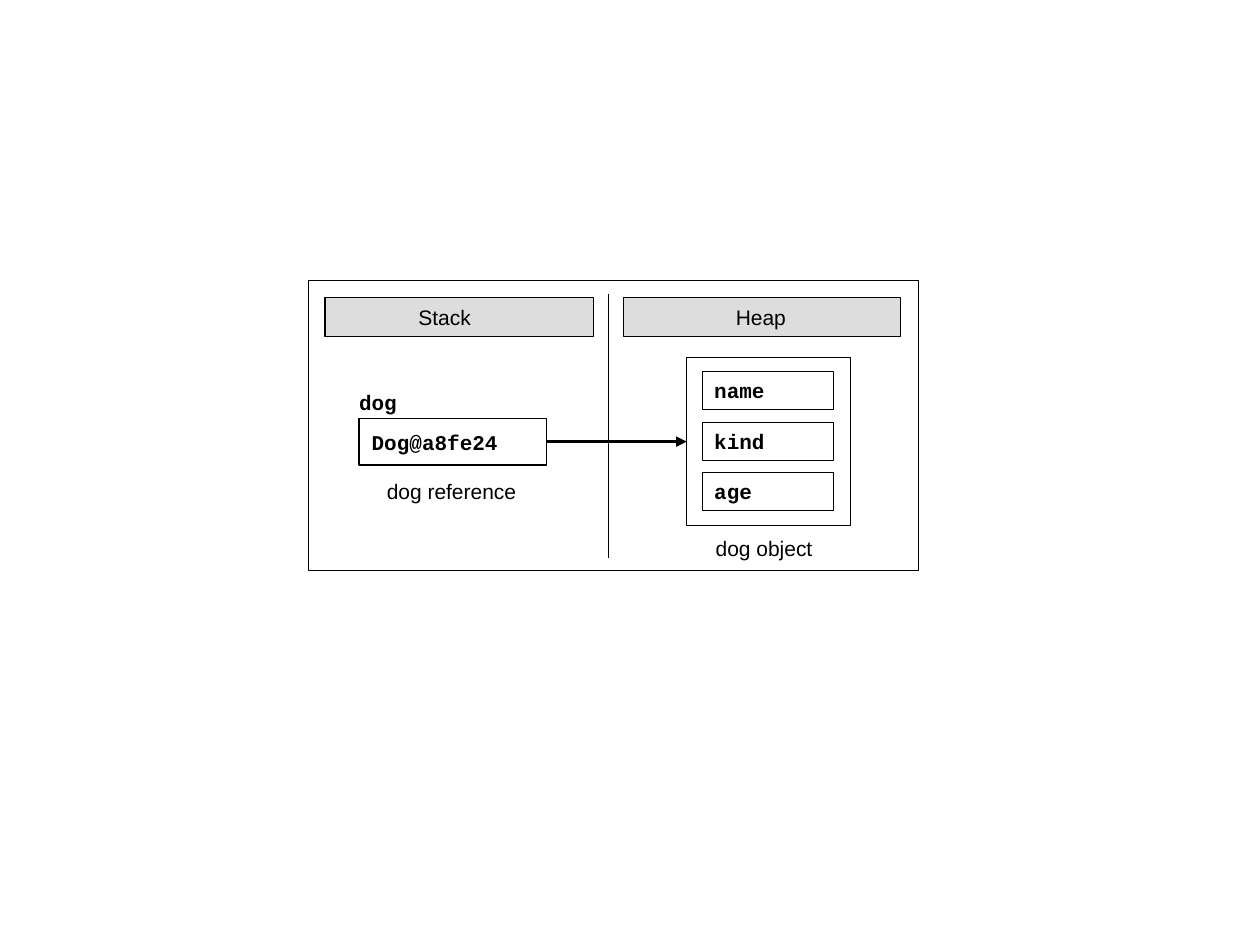
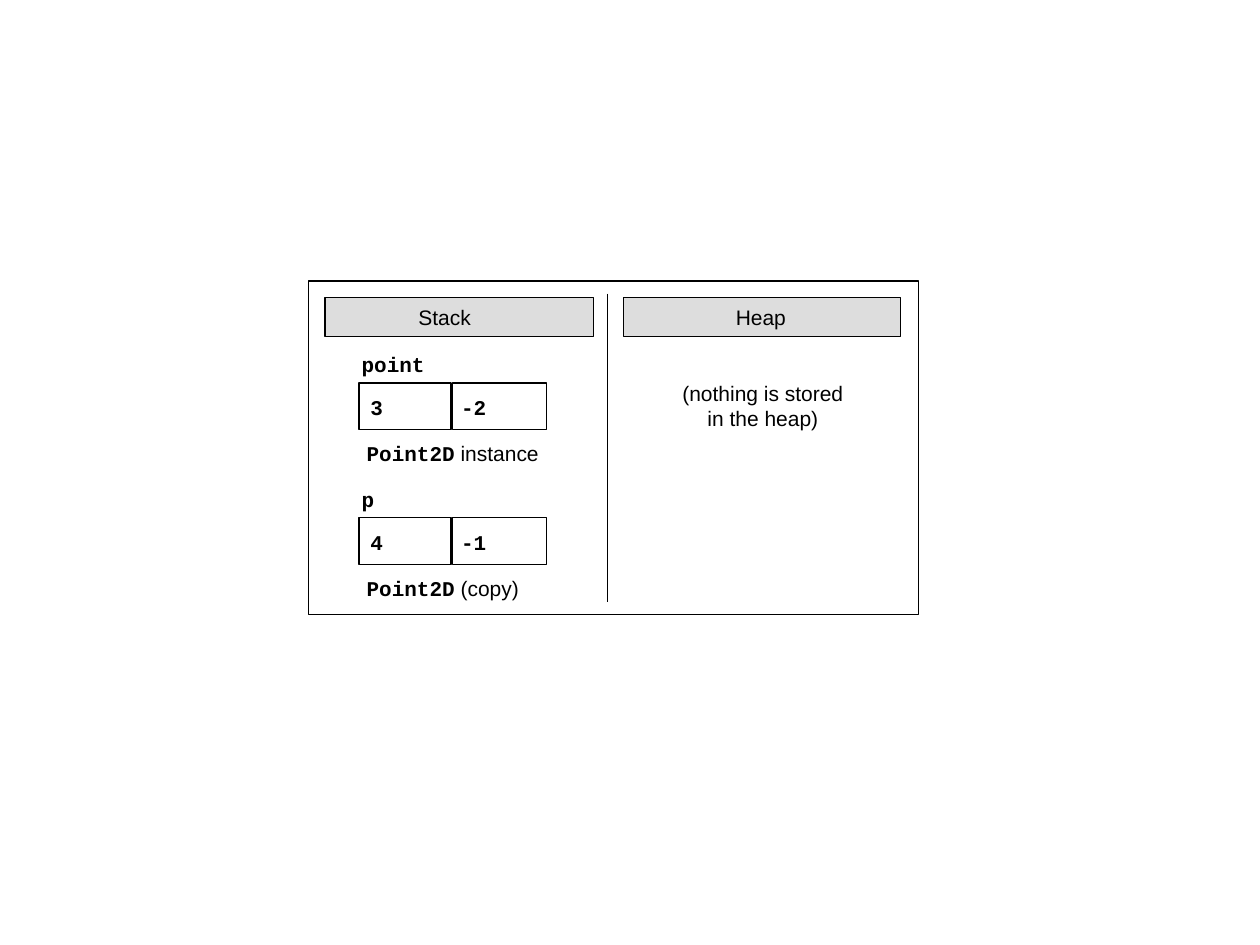
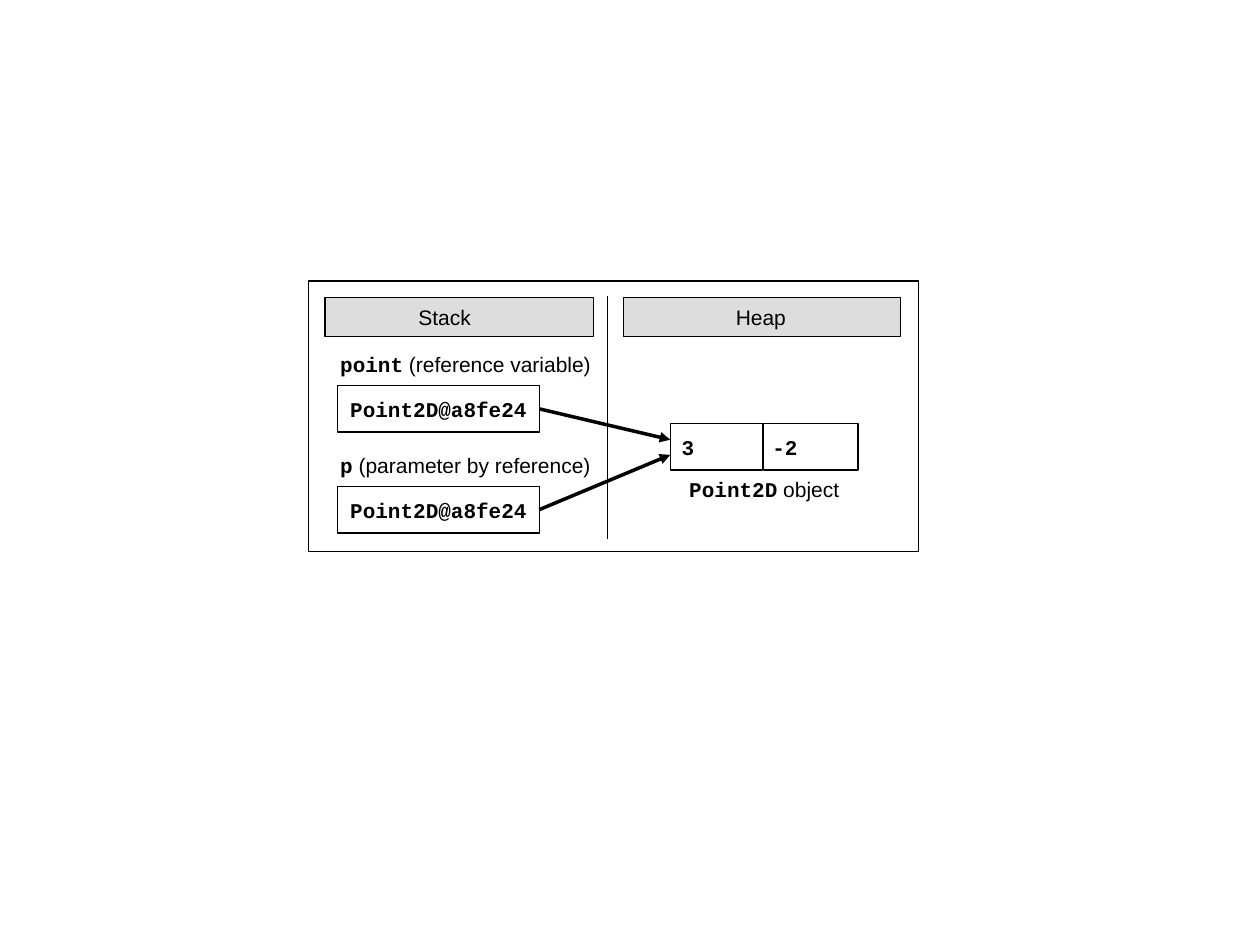
from lxml import etree
from pptx import Presentation
from pptx.dml.color import RGBColor
from pptx.enum.shapes import MSO_CONNECTOR, MSO_SHAPE
from pptx.enum.text import MSO_ANCHOR, MSO_AUTO_SIZE, PP_ALIGN
from pptx.oxml.ns import qn
from pptx.util import Inches, Pt

RECT = MSO_SHAPE.RECTANGLE
LINE = MSO_CONNECTOR.STRAIGHT
MIDDLE = MSO_ANCHOR.MIDDLE
FIT = MSO_AUTO_SIZE.SHAPE_TO_FIT_TEXT
LEFT, CENTER = PP_ALIGN.LEFT, PP_ALIGN.CENTER

BLACK, GRAY = "000000", "DDDDDD"
SANS, MONO = "Arial", "Courier New"
CELL_H, TEXT_H, CHAR_W, SLACK = 0.37, 0.2, 0.1, 0.03
RIGHT_SIDE, LEFT_SIDE = 3, 1


def color(code):
    return RGBColor.from_string(code)


def write(par, text, font=SANS, size=12, bold=False, ink=BLACK):
    for i, part in enumerate(text.split("\n")):
        if i:
            par.add_line_break()
        run = par.add_run()
        run.text = part
        run.font.name = font
        run.font.size = Pt(size)
        run.font.bold = bold
        run.font.color.rgb = color(ink)


class Deck:
    def __init__(self):
        self.prs = Presentation()
        self.prs.slide_width = Inches(10)
        self.prs.slide_height = Inches(7.5)
        self.slide = None

    def start(self, height, split=4.82, top=2.33, border=0.75):
        self.slide = self.prs.slides.add_slide(self.prs.slide_layouts[6])
        self.line((split, top), (split, 2.23 + height - 0.1))
        self.box(2.45, 2.23, 4.84, height, weight=border)
        self.box(4.95, 2.36, 2.2, 0.31, fill=GRAY)
        self.label(5.84, 2.42, plain="Heap", width=0.4)
        self.box(2.58, 2.36, 2.13, 0.31, fill=GRAY)
        self.label(3.32, 2.42, plain="Stack", width=0.42)

    def box(self, x, y, width, height=CELL_H, fill=None, weight=0.75):
        shape = self.slide.shapes.add_shape(
            RECT, Inches(x), Inches(y), Inches(width), Inches(height))
        shape.shadow.inherit = False
        if fill:
            shape.fill.solid()
            shape.fill.fore_color.rgb = color(fill)
        else:
            shape.fill.background()
        shape.line.color.rgb = color(BLACK)
        shape.line.width = Pt(weight)
        return shape

    def field(self, x, y, name):
        shape = self.box(x, y, 1.04, 0.3, weight=0.25)
        frame = shape.text_frame
        frame.vertical_anchor = MIDDLE
        par = frame.paragraphs[0]
        par.alignment = LEFT
        write(par, name, font=MONO, bold=True)

    def label(self, x, y, code="", plain="", width=None, height=TEXT_H,
              align=LEFT):
        width = (width or CHAR_W * len(code)) + SLACK
        shape = self.slide.shapes.add_textbox(
            Inches(x), Inches(y), Inches(width), Inches(height))
        frame = shape.text_frame
        frame.margin_left = frame.margin_right = 0
        frame.margin_top = frame.margin_bottom = 0
        frame.word_wrap = False
        frame.auto_size = FIT
        par = frame.paragraphs[0]
        par.alignment = align
        if code:
            write(par, code, font=MONO, bold=True)
        if plain:
            write(par, plain)

    def line(self, start, end, weight=0.75):
        link = self.slide.shapes.add_connector(
            LINE, *(Inches(v) for v in start + end))
        link.line.color.rgb = color(BLACK)
        link.line.width = Pt(weight)
        etree.SubElement(link._element.spPr, qn("a:effectLst"))
        return link

    def arrow(self, start, end, source, target=None):
        link = self.line(start, end, weight=2)
        stroke = link._element.spPr.find(qn("a:ln"))
        etree.SubElement(stroke, qn("a:tailEnd")).set("type", "triangle")
        link.begin_connect(source, RIGHT_SIDE)
        if target:
            link.end_connect(target, LEFT_SIDE)

    def handle(self, x, y, width, text):
        self.label(x + 0.1, y + 0.09, text)
        return self.box(x, y, width)

    def pair(self, x, y, first, second):
        self.box(x, y, 0.73)
        self.label(x + 0.09, y + 0.09, first)
        self.box(x + 0.74, y, 0.75)
        self.label(x + 0.81, y + 0.09, second)


def dog(deck):
    deck.start(2.3, split=4.83, border=0.5)
    deck.label(2.85, 3.09, "dog")
    handle = deck.handle(2.85, 3.32, 1.49, "Dog@a8fe24")
    deck.label(3.07, 3.8, plain="dog reference", width=1.03)
    body = deck.box(5.45, 2.84, 1.3, 1.33)
    deck.arrow((4.34, 3.51), (5.45, 3.5), handle, body)
    for i, name in enumerate(("name", "kind", "age")):
        deck.field(5.57, 2.95 + 0.4 * i, name)
    deck.label(5.68, 4.25, plain="dog object", width=0.77)


def value(deck):
    deck.start(2.65)
    points = (("point", "3", "-2", " instance", 1.37),
              ("p", "4", "-1", " (copy)", 1.21))
    for i, (name, first, second, note, width) in enumerate(points):
        y = 3.04 + 1.07 * i
        deck.label(2.87, y - 0.25, name)
        deck.pair(2.85, y, first, second)
        deck.label(2.91, y + 0.46, "Point2D", note, width)
    deck.label(5.4, 3.02, plain="(nothing is stored\nin the heap)",
               width=1.28, height=2 * TEXT_H, align=CENTER)


def shared(deck):
    deck.start(2.15, top=2.35)
    deck.pair(5.32, 3.36, "3", "-2")
    deck.label(5.47, 3.78, "Point2D", " object", 1.19)
    names = (("point", " (reference variable)", 2.79, 3.49),
             ("p", " (parameter by reference)", 3.59, 3.61))
    for name, note, y, end in names:
        deck.label(2.7, y, name, note, 1.99)
        handle = deck.handle(2.68, y + 0.27, 1.6, "Point2D@a8fe24")
        deck.arrow((4.28, y + 0.46), (5.32, end), handle)


def main():
    deck = Deck()
    for draw in (dog, value, shared):
        draw(deck)
    deck.prs.save("out.pptx")


if __name__ == "__main__":
    main()
